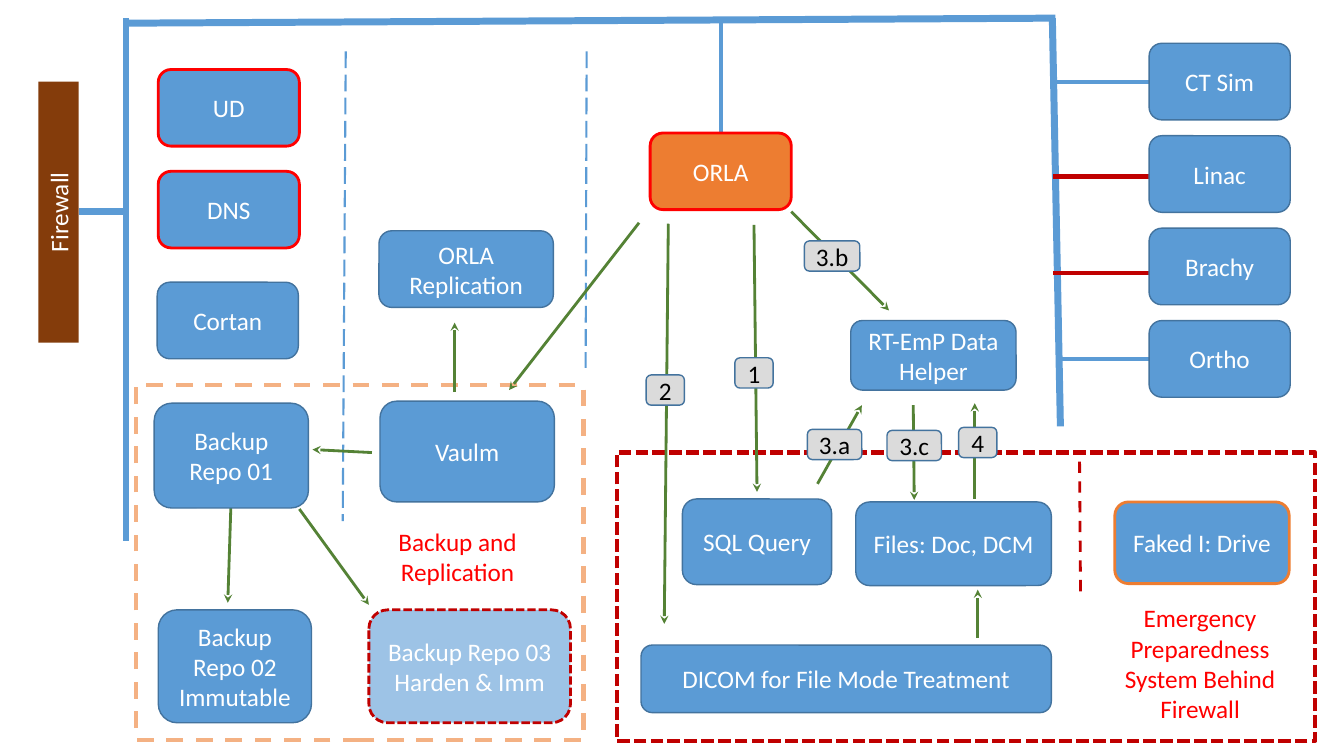
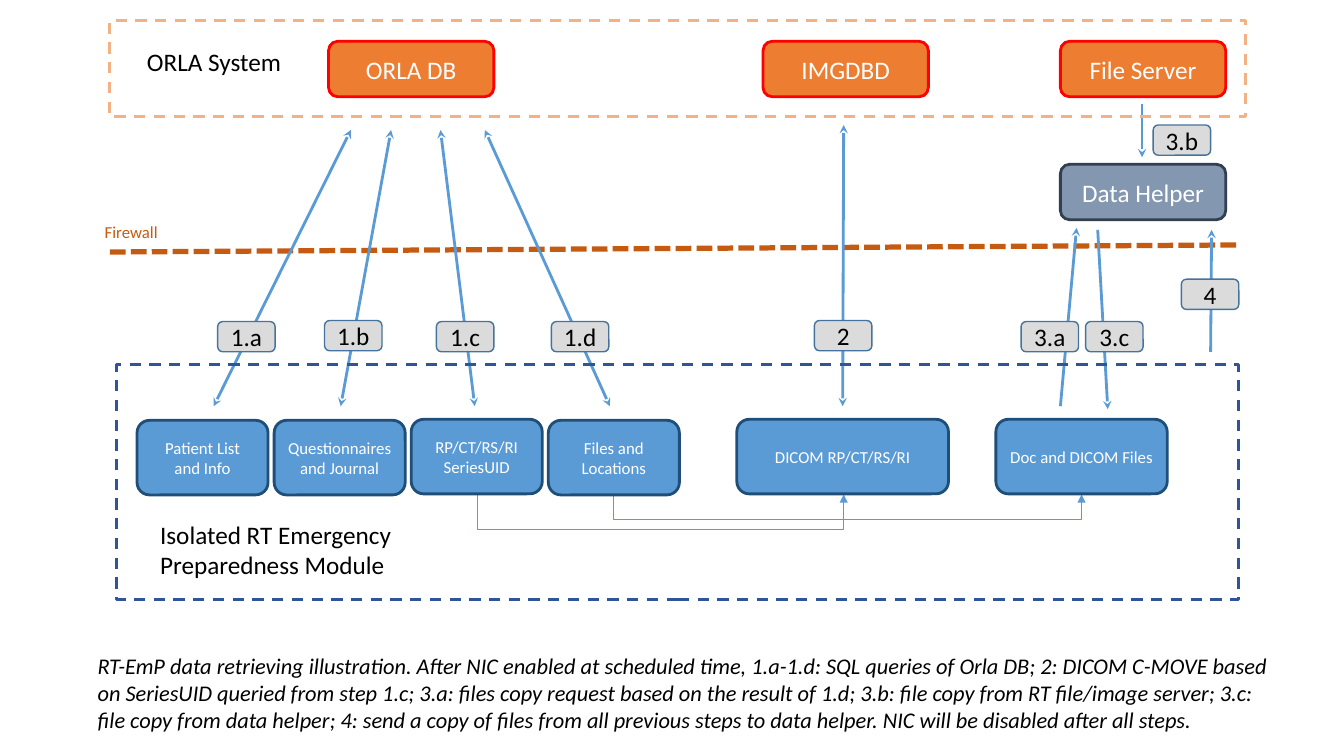
from lxml.etree import SubElement
from pptx import Presentation
from pptx.dml.color import RGBColor
from pptx.enum.dml import MSO_LINE as Dash
from pptx.enum.shapes import MSO_CONNECTOR as Link, MSO_SHAPE as Shape
from pptx.enum.text import MSO_ANCHOR as Anchor, PP_ALIGN as Align
from pptx.oxml.ns import qn
from pptx.util import Inches, Pt

CELL = Inches(0.1)
COLUMNS, ROWS = 133.33, 75

WHITE = RGBColor(0xFF, 0xFF, 0xFF)
BLACK = RGBColor(0x00, 0x00, 0x00)
RED = RGBColor(0xFF, 0x00, 0x00)
CRIMSON = RGBColor(0xC0, 0x00, 0x00)
BLUE = RGBColor(0x5B, 0x9B, 0xD5)
PALE_BLUE = RGBColor(0x9D, 0xC3, 0xE6)
EDGE_BLUE = RGBColor(0x43, 0x73, 0x9E)
DEEP_BLUE = RGBColor(0x1F, 0x4E, 0x79)
FRAME_BLUE = RGBColor(0x2F, 0x55, 0x97)
SLATE = RGBColor(0x84, 0x97, 0xB0)
DARK_SLATE = RGBColor(0x33, 0x3F, 0x50)
ORANGE = RGBColor(0xED, 0x7D, 0x31)
PEACH = RGBColor(0xF4, 0xB1, 0x83)
RUST = RGBColor(0xC5, 0x5A, 0x11)
BROWN = RGBColor(0x84, 0x3C, 0x0B)
GREEN = RGBColor(0x54, 0x82, 0x35)
GREY = RGBColor(0xDB, 0xDB, 0xDB)

NODE = {"preset": Shape.ROUNDED_RECTANGLE, "fill": BLUE, "edge": EDGE_BLUE, "width": 1,
        "dash": None, "size": 18, "ink": WHITE, "italic": False,
        "align": Align.CENTER, "anchor": Anchor.MIDDLE}
CORE = NODE | {"fill": ORANGE, "edge": RED, "width": 2}
GUARDED = NODE | {"edge": RED, "width": 2}
HARDENED = NODE | {"fill": PALE_BLUE, "edge": CRIMSON, "width": 2, "dash": Dash.SQUARE_DOT}
DRIVE = NODE | {"edge": ORANGE, "width": 2}
HELPER = NODE | {"fill": SLATE, "edge": DARK_SLATE, "width": 2}
MODULE = NODE | {"edge": DEEP_BLUE, "width": 2, "size": 12}
TAG = NODE | {"fill": GREY, "ink": BLACK}
WALL = NODE | {"preset": Shape.RECTANGLE, "fill": BROWN, "edge": None}
FRAME = NODE | {"preset": Shape.RECTANGLE, "fill": None, "dash": Dash.DASH}
LABEL = NODE | {"preset": None, "ink": BLACK, "align": Align.LEFT, "anchor": Anchor.TOP}
ZONE = LABEL | {"ink": RED, "align": Align.CENTER}

GREEN_ARROW = {"color": GREEN, "width": 2, "tail": "stealth"}
BLUE_ARROW = {"color": BLUE, "width": 2, "tail": "stealth"}
TWO_WAY = BLUE_ARROW | {"head": "stealth"}
TRUNK = {"color": BLUE, "width": 5}
BRANCH = {"color": BLUE, "width": 3}
ALERT_BRANCH = {"color": CRIMSON, "width": 3}
DIVIDER = {"color": BLUE, "width": 1.5, "dash": Dash.LONG_DASH}


def draw_box(page, place, text, look):
    left, top, width, height = [round(part * CELL) for part in place]
    if look["preset"] is None:
        box = page.shapes.add_textbox(left, top, width, height)
    else:
        box = page.shapes.add_shape(look["preset"], left, top, width, height)
        box.shadow.inherit = False
        for paint, color in ((box.fill, look["fill"]), (box.line.fill, look["edge"])):
            if color is None:
                paint.background()
            else:
                paint.solid()
                paint.fore_color.rgb = color
        if look["edge"] is not None:
            box.line.width = Pt(look["width"])
            box.line.dash_style = look["dash"]
    frame = box.text_frame
    frame.word_wrap = True
    frame.vertical_anchor = look["anchor"]
    frame.text = text
    for para in frame.paragraphs:
        para.alignment = look["align"]
        for span in para.runs:
            span.font.color.rgb = look["ink"]
            values = {"name": "Calibri", "size": Pt(look["size"]), "italic": look["italic"]}
            for name, value in values.items():
                setattr(span.font, name, value)
    return box


def draw_line(page, ends, look, kind=Link.STRAIGHT):
    line = page.shapes.add_connector(kind, *[round(part * CELL) for part in ends])
    line.line.color.rgb = look["color"]
    line.line.width = Pt(look["width"])
    line.line.dash_style = look.get("dash")
    properties = line._element.spPr
    for end in ("head", "tail"):
        if end in look:
            SubElement(properties.find(qn("a:ln")), qn(f"a:{end}End"), type=look[end])
    SubElement(properties, qn("a:effectLst"))
    return line


deck = Presentation()
deck.slide_width = round(COLUMNS * CELL)
deck.slide_height = ROWS * CELL
network, retrieval = [deck.slides.add_slide(deck.slide_layouts[6]) for _ in range(2)]

draw_box(network, (13.5, 38.2, 44.4, 35.2), "", FRAME | {"edge": PEACH, "width": 3})
draw_box(network, (61.2, 44.9, 69.3, 28.6), "",
         FRAME | {"edge": CRIMSON, "width": 3, "dash": Dash.SQUARE_DOT})

for ends, look in (
    ((104.4, 1.8, 105.2, 42.3), TRUNK),
    ((12.5, 1.8, 12.5, 53.7), TRUNK),
    ((7.8, 21, 12.2, 21), TRUNK),
    ((104.7, 1.8, 12.5, 2.3), TRUNK),
    ((34.3, 5.1, 34, 51.7), DIVIDER),
    ((58.2, 5.1, 58.1, 36.5), DIVIDER),
    ((107.1, 45.8, 107.2, 59.3), {"color": CRIMSON, "width": 2, "dash": Dash.DASH}),
    ((71.5, 13.2, 71.5, 2.1), BRANCH),
    ((104.5, 8.1, 114, 8.1), BRANCH),
    ((104.5, 17.5, 114, 17.5), ALERT_BRANCH),
    ((104.5, 27.1, 114, 27.1), ALERT_BRANCH),
    ((104.9, 35.6, 114, 35.6), BRANCH),
):
    draw_line(network, ends, look)

for ends in (
    (63.4, 22.1, 50.5, 38.7),
    (36.9, 44.9, 31, 44.6),
    (22.9, 50.4, 22.6, 59.8),
    (29.7, 50.5, 36.6, 60),
    (45.1, 38.9, 45.1, 32),
    (74.8, 22.3, 75.1, 48.8),
    (66.3, 22.2, 65.9, 61.9),
    (78.5, 21, 88.2, 30.8),
    (90.6, 40.2, 90.7, 49.6),
    (81.1, 48, 85.5, 40.2),
    (96.7, 49.5, 96.7, 40),
    (97, 63.3, 97, 58.5),
):
    draw_line(network, ends, GREEN_ARROW)

for row, name in enumerate(("CT Sim", "Linac", "Brachy", "Ortho")):
    draw_box(network, (114, 4.3 + 9.17 * row, 14, 7.6), name, NODE)

for place, text, look in (
    ((64.5, 13.2, 14, 7.6), "ORLA", CORE),
    ((15.7, 6.9, 14, 7.6), "UD", GUARDED),
    ((15.7, 17, 14, 7.6), "DNS", GUARDED),
    ((15.6, 28, 14, 7.6), "Cortan", NODE),
    ((37.6, 22.9, 17.3, 7.6), "ORLA Replication", NODE),
    ((37.7, 39.8, 17.3, 10), "Vaulm", NODE),
    ((15.3, 40, 15.3, 10.4), "Backup Repo 01", NODE),
    ((15.7, 60.5, 15.2, 11.2), "Backup Repo 02\nImmutable", NODE),
    ((36.6, 60.5, 20, 11.2), "Backup Repo 03\nHarden & Imm", HARDENED),
    ((84.4, 31.8, 16.4, 6.9), "RT-EmP Data Helper", NODE),
    ((67.7, 49.5, 14.8, 8.5), "SQL Query", NODE),
    ((84.9, 49.8, 19.4, 8.3), "Files: Doc, DCM", NODE),
    ((63.6, 64, 40.7, 6.7), "DICOM for File Mode Treatment", NODE),
    ((110.6, 49.8, 17.3, 8.1), "Faked I: Drive", DRIVE),
    ((36.4, 51.7, 18, 7.1), "Backup and Replication", ZONE),
    ((109.1, 59.3, 19.9, 13.1), "Emergency Preparedness System Behind Firewall", ZONE),
):
    draw_box(network, place, text, look)

wall = draw_box(network, (3.8, 8.1, 4, 25.9), "Firewall", WALL)
wall.text_frame._txBody.bodyPr.set("vert", "vert270")

for left, top, width, step in (
    (72.9, 35.5, 3.8, "1"),
    (64.1, 37.2, 3.8, "2"),
    (80.1, 42.6, 5.4, "3.a"),
    (79.8, 23.9, 5.5, "3.b"),
    (88, 42.7, 5.4, "3.c"),
    (95.1, 42.4, 3.8, "4"),
):
    draw_box(network, (left, top, width, 3), step, TAG)

draw_line(retrieval, (10.9, 25, 122.9, 24.3),
          {"color": RUST, "width": 3.75, "dash": Dash.SQUARE_DOT})

for ends, look in (
    ((21.2, 40.3, 34.8, 12.9), TWO_WAY),
    ((33.8, 40.3, 38.8, 12.9), TWO_WAY),
    ((47.1, 40.3, 43.7, 12.9), TWO_WAY),
    ((60.5, 40.3, 48.1, 12.9), TWO_WAY),
    ((83.6, 40.3, 83.7, 12.4), TWO_WAY),
    ((105.2, 40.3, 106.8, 22.6), BLUE_ARROW),
    ((120.1, 34.9, 120.2, 22.8), BLUE_ARROW),
    ((108.9, 22.8, 109.9, 40.6), BLUE_ARROW),
    ((113.3, 10.3, 113.3, 15.6), BLUE_ARROW),
):
    draw_line(retrieval, ends, look)

depth = 0.1
for start, finish, drop in ((47.4, 83.7, 3.6), (60.9, 107.3, 2.6)):
    middle, half = (start + finish) / 2, (finish - start) / 2
    ends = (middle + depth / 2, 49 - half, middle - depth / 2, 49 + half)
    elbow = draw_line(retrieval, ends, {"color": BLUE, "width": 0.5, "tail": "triangle"},
                      Link.ELBOW)
    properties = elbow._element.spPr
    properties.find(qn("a:xfrm")).set("rot", str(270 * 60000))
    SubElement(properties.find(".//" + qn("a:avLst")), qn("a:gd"), name="adj1",
               fmla=f"val {round(drop / depth * 100000)}")

for column, name in enumerate(("Patient List and Info", "Questionnaires and Journal",
                               "RP/CT/RS/RI SeriesUID", "Files and Locations")):
    draw_box(retrieval, (13.6 + 13.6 * column, 41.6 if column == 2 else 41.7, 13, 7.4),
             name, MODULE)

for left, name in ((32.6, "ORLA DB"), (75.7, "IMGDBD"), (105.2, "File Server")):
    draw_box(retrieval, (left, 4.1, 16.4, 5.5), name, CORE)

for place, text, look in (
    ((105.2, 16.3, 16.4, 5.5), "Data Helper", HELPER),
    ((73.1, 41.6, 21, 7.4), "DICOM RP/CT/RS/RI", MODULE),
    ((98.8, 41.6, 17, 7.4), "Doc and DICOM Files", MODULE),
    ((11.6, 36.2, 111.3, 23.3), "", FRAME | {"edge": FRAME_BLUE, "width": 2}),
    ((10.9, 2, 112.7, 9.6), "", FRAME | {"edge": PEACH, "width": 2}),
    ((9.4, 21.5, 12.9, 3), "Firewall", LABEL | {"size": 12, "ink": RUST}),
    ((13.6, 4.1, 17.8, 4), "ORLA System", LABEL),
    ((14.9, 51, 25.4, 7.1), "Isolated RT Emergency Preparedness Module", LABEL),
    ((8.7, 64.2, 118.7, 9.1),
     "RT-EmP data retrieving illustration. After NIC enabled at scheduled time, "
     "1.a-1.d: SQL queries of Orla DB; 2: DICOM C-MOVE based on SeriesUID queried "
     "from step 1.c; 3.a: files copy request based on the result of 1.d; 3.b: file "
     "copy from RT file/image server; 3.c: file copy from data helper; 4: send a copy "
     "of files from all previous steps to data helper. NIC will be disabled after all "
     "steps.", LABEL | {"size": 16, "italic": True}),
):
    draw_box(retrieval, place, text, look)

for left, top, step in (
    (21.6, 31.9, "1.a"),
    (32.2, 31.8, "1.b"),
    (43.3, 31.9, "1.c"),
    (54.7, 31.9, "1.d"),
    (80.8, 31.8, "2"),
    (101.3, 31.9, "3.a"),
    (107.7, 31.9, "3.c"),
    (117.2, 27.7, "4"),
    (114.4, 12.4, "3.b"),
):
    draw_box(retrieval, (left, top, 5.7, 3), step, TAG)

deck.save("out.pptx")
